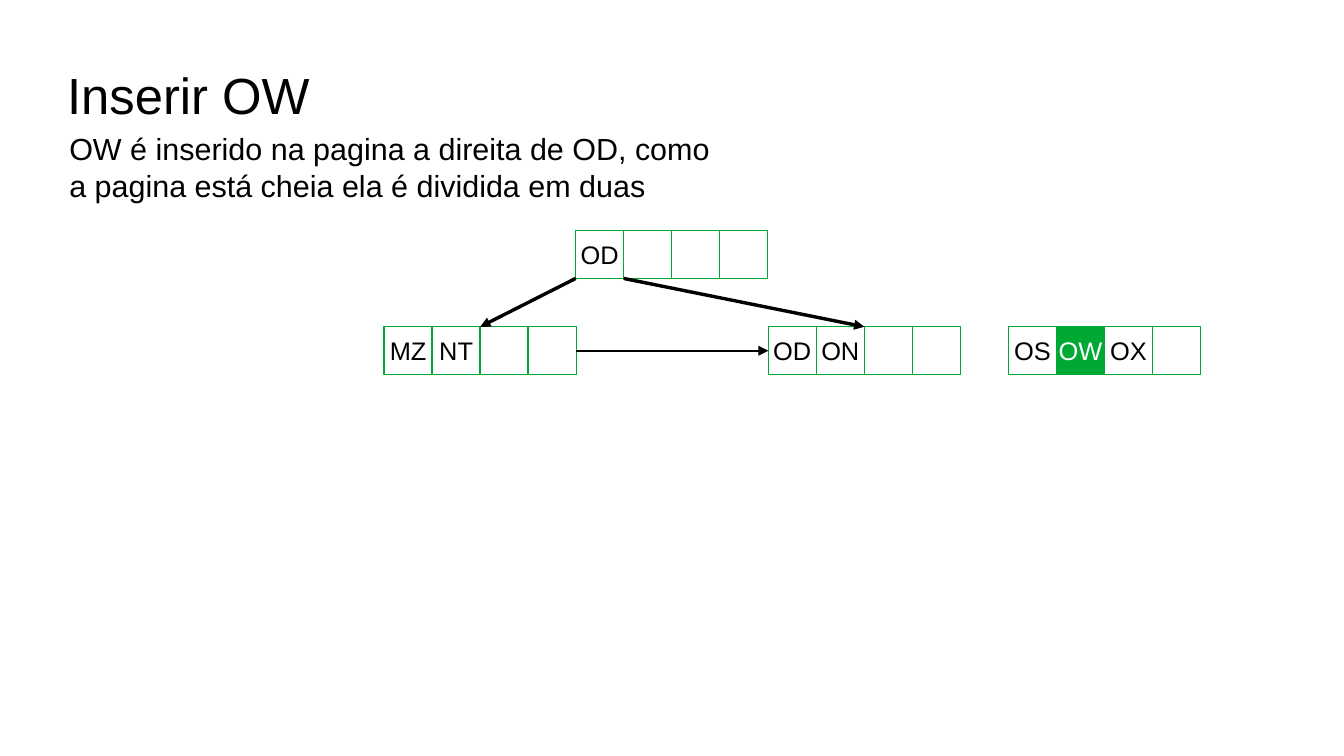
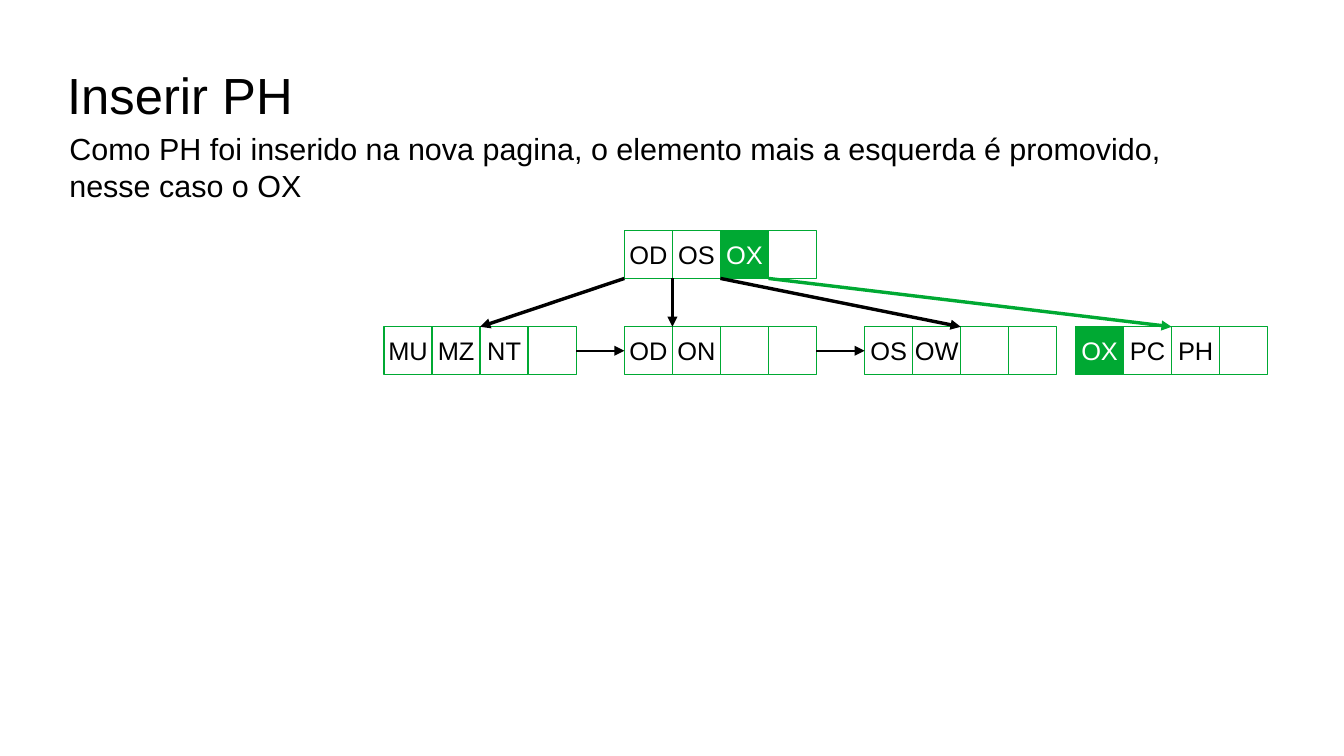
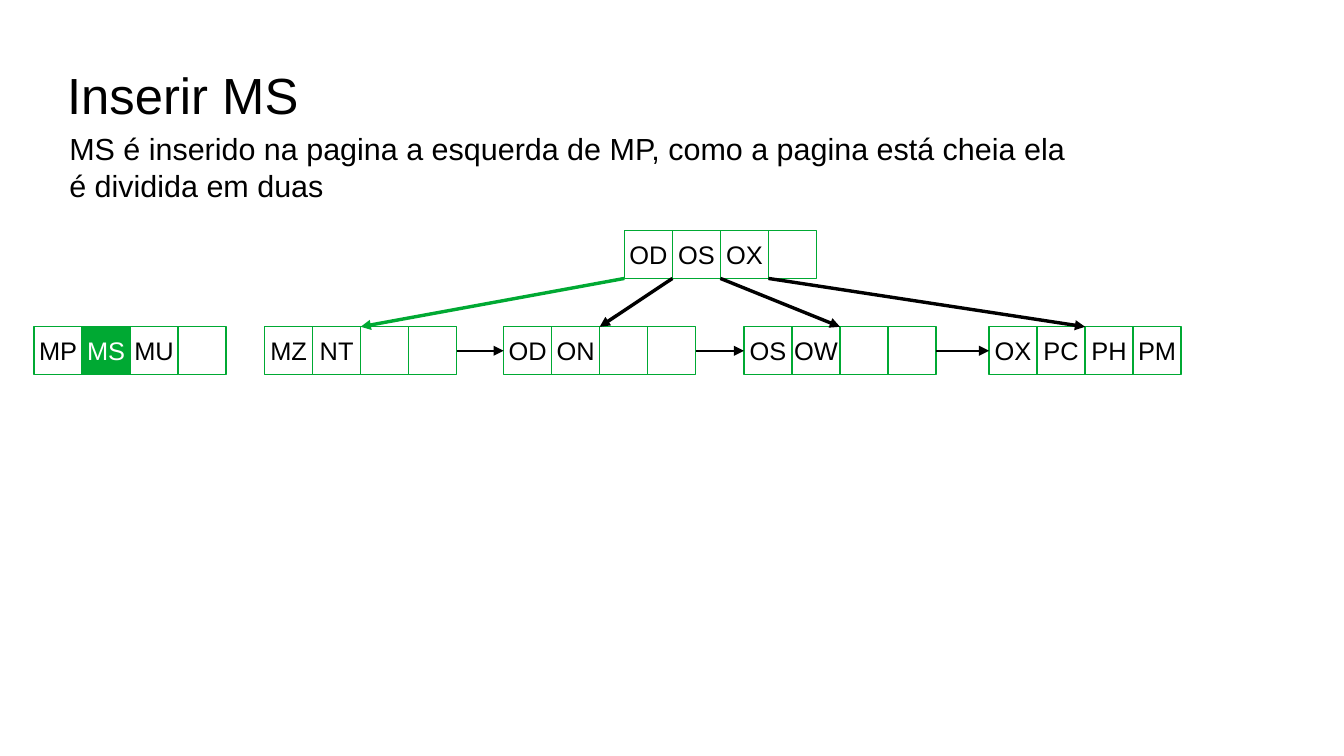
from lxml import etree
from pptx import Presentation
from pptx import util as u
from pptx.dml.color import RGBColor
from pptx.enum import shapes, text
from pptx.oxml import ns

COLORS = {"ink": "000000", "paper": "FFFFFF", "green": "00A933"}
FONT = "Arial"
CELL = 1 / 2.54  # each cell is one centimetre square
ROOT_TOP, LEAF_TOP = 1.89, 2.68


def color(name):
    return RGBColor.from_string(COLORS[name])


def write(shape, words, size, ink="ink", align=text.PP_ALIGN.LEFT,
          anchor=text.MSO_ANCHOR.TOP, wrap=True, margins=(0.1, 0.05)):
    """Fill a shape with one formatted paragraph."""
    frame = shape.text_frame
    frame.word_wrap = wrap
    frame.vertical_anchor = anchor
    frame.margin_left = frame.margin_right = u.Inches(margins[0])
    frame.margin_top = frame.margin_bottom = u.Inches(margins[1])
    para = frame.paragraphs[0]
    para.alignment = align
    span = para.add_run()
    span.text = words
    span.font.name = FONT
    span.font.size = u.Pt(size)
    span.font.color.rgb = color(ink)


class TreeDeck:
    """Draws B+ tree slides and keeps the current one."""

    def __init__(self, width, height):
        self.deck = Presentation()
        self.deck.slide_width = u.Inches(width)
        self.deck.slide_height = u.Inches(height)
        self.page = None

    def text_box(self, left, top, width, height, words, size, **style):
        box = self.page.shapes.add_textbox(
            u.Inches(left), u.Inches(top), u.Inches(width), u.Inches(height))
        write(box, words, size, **style)

    def new_page(self, title, note, note_width):
        self.page = self.deck.slides.add_slide(self.deck.slide_layouts[6])
        self.text_box(0.55, 0.25, 9.92, 1.04, title, 30,
                      anchor=text.MSO_ANCHOR.MIDDLE, margins=(0, 0))
        self.text_box(0.47, 1.02, note_width, 0.71, note, 18)

    def node(self, left, top, keys, new=None):
        """Draw a row of four cells, with the new key highlighted."""
        cells = []
        for index in range(4):
            key = keys[index] if index < len(keys) else ""
            marked = key != "" and key == new
            cell = self.page.shapes.add_shape(
                shapes.MSO_SHAPE.RECTANGLE, u.Inches(left + index * CELL),
                u.Inches(top), u.Inches(CELL), u.Inches(CELL))
            cell.shadow.inherit = False
            cell.fill.solid()
            cell.fill.fore_color.rgb = color("green" if marked else "paper")
            cell.line.color.rgb = color("green")
            cell.line.width = u.Pt(0)
            if key:
                write(cell, key, 15, ink="paper" if marked else "ink",
                      align=text.PP_ALIGN.CENTER,
                      anchor=text.MSO_ANCHOR.MIDDLE, wrap=False)
            cells.append(cell)
        return cells

    def arrow(self, start, end, ink="ink", width=0):
        line = self.page.shapes.add_connector(
            shapes.MSO_CONNECTOR.STRAIGHT, *start, *end)
        line.line.color.rgb = color(ink)
        line.line.width = u.Pt(width)
        outline = line.line._get_or_add_ln()
        etree.SubElement(outline, ns.qn("a:tailEnd"), type="triangle")
        etree.SubElement(line._element.spPr, ns.qn("a:effectLst"))
        return line

    def pointer(self, root, slot, leaf, column=2, ink="ink"):
        """Point from a slot under the root to the top of a leaf."""
        source, target = root[slot], leaf[column]
        self.arrow((source.left, source.top + source.height),
                   (target.left, target.top), ink)

    def link(self, leaf, following, width=1):
        """Chain a leaf to the following one."""
        line = self.arrow((0, 0), (0, 0), width=width)
        line.begin_connect(leaf[3], 3)
        line.end_connect(following[0], 1)


def main():
    tree = TreeDeck(11.02, 6.2)

    # Insert OW
    tree.new_page("Inserir OW", "OW é inserido na pagina a direita de OD, "
                  "como a pagina está cheia ela é dividida em duas", 5.51)
    root = tree.node(4.72, ROOT_TOP, ["OD"])
    first = tree.node(3.15, LEAF_TOP, ["MZ", "NT"])
    second = tree.node(6.3, LEAF_TOP, ["OD", "ON"])
    tree.node(8.27, LEAF_TOP, ["OS", "OW", "OX"], new="OW")
    tree.pointer(root, 0, first)
    tree.pointer(root, 1, second)
    tree.link(first, second)

    # Insert PH
    tree.new_page("Inserir PH", "Como PH foi inserido na nova pagina, o elemento "
                  "mais a esquerda é promovido, nesse caso o OX", 9.21)
    root = tree.node(5.12, ROOT_TOP, ["OD", "OS", "OX"], new="OX")
    first = tree.node(3.15, LEAF_TOP, ["MU", "MZ", "NT"])
    second = tree.node(5.12, LEAF_TOP, ["OD", "ON"])
    third = tree.node(7.09, LEAF_TOP, ["OS", "OW"])
    fourth = tree.node(8.82, LEAF_TOP, ["OX", "PC", "PH"], new="OX")
    tree.pointer(root, 0, first)
    tree.pointer(root, 1, second, column=1)
    tree.pointer(root, 2, third)
    tree.pointer(root, 3, fourth, ink="green")
    tree.link(first, second)
    tree.link(second, third, width=1.5)

    # Insert MS
    tree.new_page("Inserir MS", "MS é inserido na pagina a esquerda de MP, como a "
                  "pagina está cheia ela é dividida em duas", 8.43)
    root = tree.node(5.12, ROOT_TOP, ["OD", "OS", "OX"])
    tree.node(0.28, LEAF_TOP, ["MP", "MS", "MU"], new="MS")
    leaves = [tree.node(left, LEAF_TOP, keys) for left, keys in (
        (2.17, ["MZ", "NT"]), (4.13, ["OD", "ON"]),
        (6.1, ["OS", "OW"]), (8.11, ["OX", "PC", "PH", "PM"]))]
    for slot, leaf in enumerate(leaves):
        tree.pointer(root, slot, leaf, ink="ink" if slot else "green")
    for leaf, following, width in zip(leaves, leaves[1:], (1, 1.5, 1)):
        tree.link(leaf, following, width)

    tree.deck.save("out.pptx")


if __name__ == "__main__":
    main()
